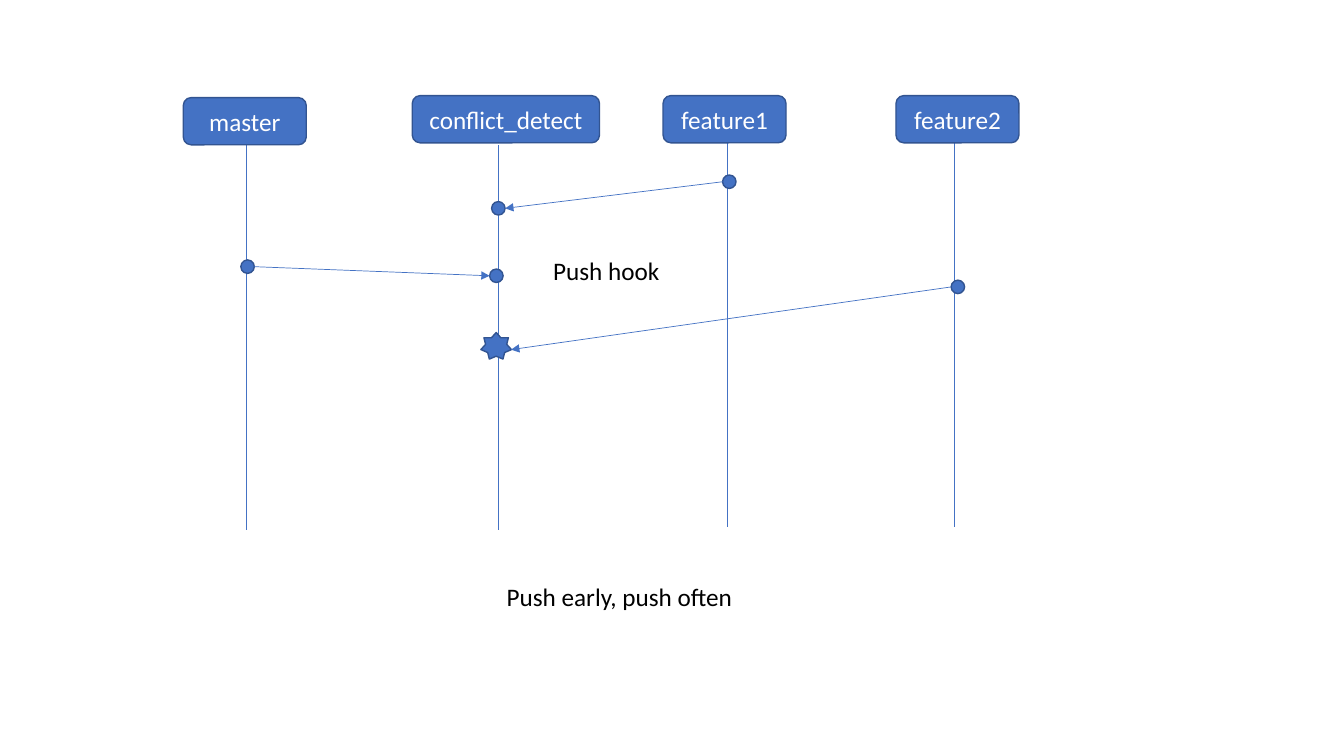
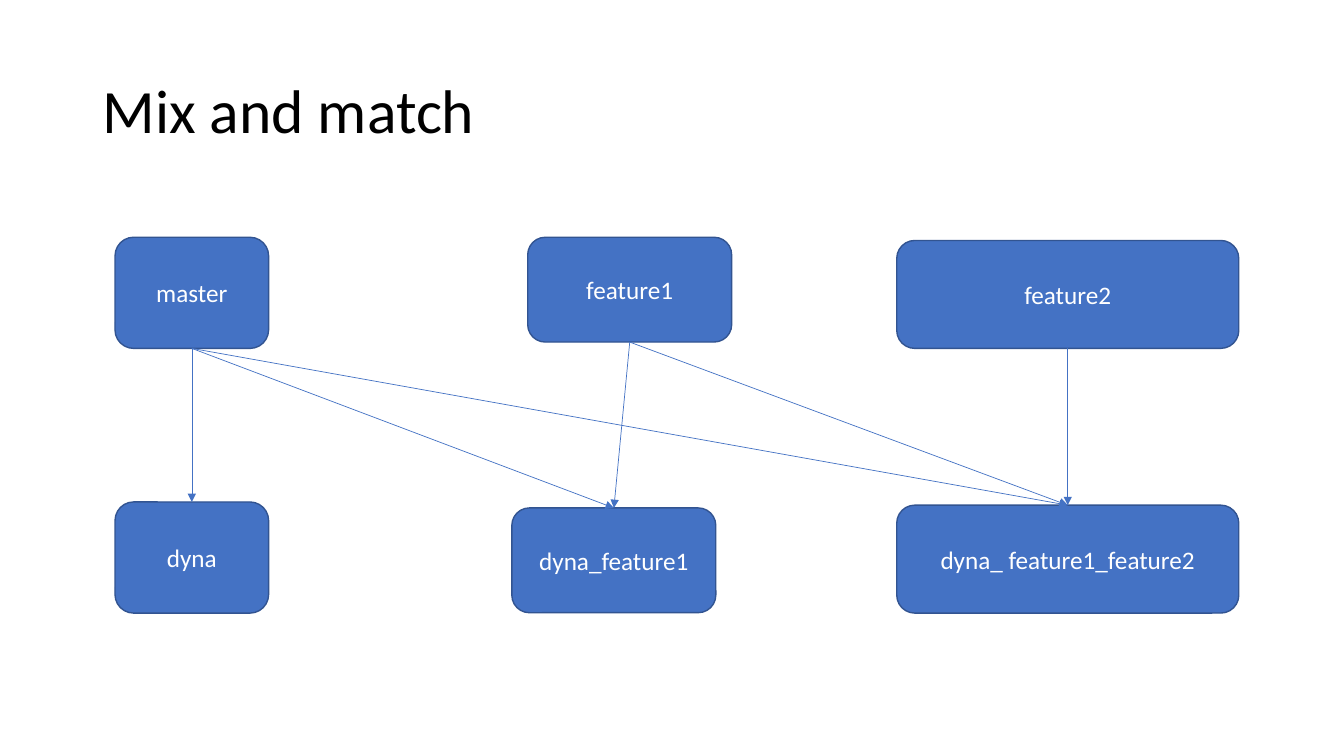
from pptx import Presentation
from pptx.dml.color import RGBColor
from pptx.enum import shapes, text
from pptx.oxml import parse_xml
from pptx.oxml.ns import nsdecls
from pptx.util import Cm, Pt

FONT = "Calibri"
BLUE, EDGE, WHITE, BLACK = "4472C4", "325491", "FFFFFF", "000000"
KIND = shapes.MSO_SHAPE
rgb = RGBColor.from_string


def block(slide, kind, x, y, w, h, label=""):
    shape = slide.shapes.add_shape(kind, Cm(x), Cm(y), Cm(w), Cm(h))
    shape.shadow.inherit = False
    shape.fill.solid()
    shape.fill.fore_color.rgb = rgb(BLUE)
    shape.line.color.rgb = rgb(EDGE)
    shape.line.width = Pt(1)
    if label:
        frame = shape.text_frame
        frame.text = label
        frame.word_wrap = True
        frame.vertical_anchor = text.MSO_ANCHOR.MIDDLE
        line = frame.paragraphs[0]
        line.alignment = text.PP_ALIGN.CENTER
        font = line.runs[0].font
        font.name, font.size = FONT, Pt(18)
        font.color.rgb = rgb(WHITE)
    return shape


def link(slide, x1, y1, x2, y2, arrow=True):
    line = slide.shapes.add_connector(
        shapes.MSO_CONNECTOR.STRAIGHT, Cm(x1), Cm(y1), Cm(x2), Cm(y2))
    line.line.color.rgb = rgb(BLUE)
    line.line.width = Pt(0.5)
    if arrow:
        line.line._get_or_add_ln().append(
            parse_xml(f'<a:tailEnd {nsdecls("a")} type="triangle"/>'))
    line._element.spPr.append(parse_xml(f'<a:effectLst {nsdecls("a")}/>'))
    return line


deck = Presentation()
deck.slide_width, deck.slide_height = Cm(33.87), Cm(19.05)

flow = deck.slides.add_slide(deck.slide_layouts[6])
HIGH, DOT = 1.19, 0.34
lanes = [
    ("master", 4.62, 2.46, 3.1, 6.22, 3.66),
    ("conflict_detect", 10.39, 2.41, 4.72, 12.55, 3.66),
    ("feature1", 16.71, 2.41, 3.1, 18.34, 3.58),
    ("feature2", 22.58, 2.41, 3.1, 24.05, 3.58),
]
for name, x, y, w, mid, top in lanes:
    link(flow, mid, top, mid, top + 9.69, arrow=False)
for name, x, y, w, mid, top in lanes:
    block(flow, KIND.ROUNDED_RECTANGLE, x, y, w, HIGH, name)

dots = [(18.38, 4.58), (12.56, 5.25), (24.14, 7.23), (12.51, 6.95), (6.24, 6.72)]
for x, y in dots:
    block(flow, KIND.OVAL, x - DOT / 2, y - DOT / 2, DOT, DOT)
block(flow, KIND.STAR_7_POINT, 12.12, 8.38, 0.77, 0.67)

for x1, y1, x2, y2 in [
    (18.21, 4.58, 12.73, 5.25),
    (23.97, 7.23, 12.88, 8.81),
    (6.41, 6.72, 12.34, 6.95),
]:
    link(flow, x1, y1, x2, y2)

words = []
for note, x, y, w in [
    ("Push hook", 13.69, 6.32, 3.56),
    ("Push early, push often", 12.52, 14.53, 12.8),
]:
    box = flow.shapes.add_textbox(Cm(x), Cm(y), Cm(w), Cm(1.03))
    box.text_frame.text = note
    words.append((box.text_frame, 18))

mix = deck.slides.add_slide(deck.slide_layouts[5])
title = mix.shapes.title
title.left, title.top, title.width, title.height = Cm(2.33), Cm(1.01), Cm(29.21), Cm(3.68)
title.text_frame.text = "Mix and match"
title.text_frame.vertical_anchor = text.MSO_ANCHOR.MIDDLE
title.text_frame.paragraphs[0].line_spacing = 0.9
words.append((title.text_frame, 44))

nodes = {}
for name, x, y, w, h in [
    ("master", 2.9, 5.98, 3.87, 2.8),
    ("feature1", 13.3, 5.98, 5.14, 2.64),
    ("feature2", 22.6, 6.06, 8.62, 2.72),
    ("dyna", 2.9, 12.65, 3.87, 2.8),
    ("dyna_feature1", 12.9, 12.8, 5.14, 2.64),
    ("dyna_ feature1_feature2", 22.6, 12.73, 8.62, 2.72),
]:
    nodes[name] = block(mix, KIND.ROUNDED_RECTANGLE, x, y, w, h, name)

for goal, roots in [
    ("dyna", ["master"]),
    ("dyna_feature1", ["master", "feature1"]),
    ("dyna_ feature1_feature2", ["master", "feature1", "feature2"]),
]:
    for root in roots:
        arrow = link(mix, 0, 0, 1, 1)
        arrow.begin_connect(nodes[root], 2)
        arrow.end_connect(nodes[goal], 0)

for frame, size in words:
    frame.word_wrap = True
    line = frame.paragraphs[0]
    line.alignment = text.PP_ALIGN.LEFT
    font = line.runs[0].font
    font.name, font.size = FONT, Pt(size)
    font.color.rgb = rgb(BLACK)

deck.save("out.pptx")
